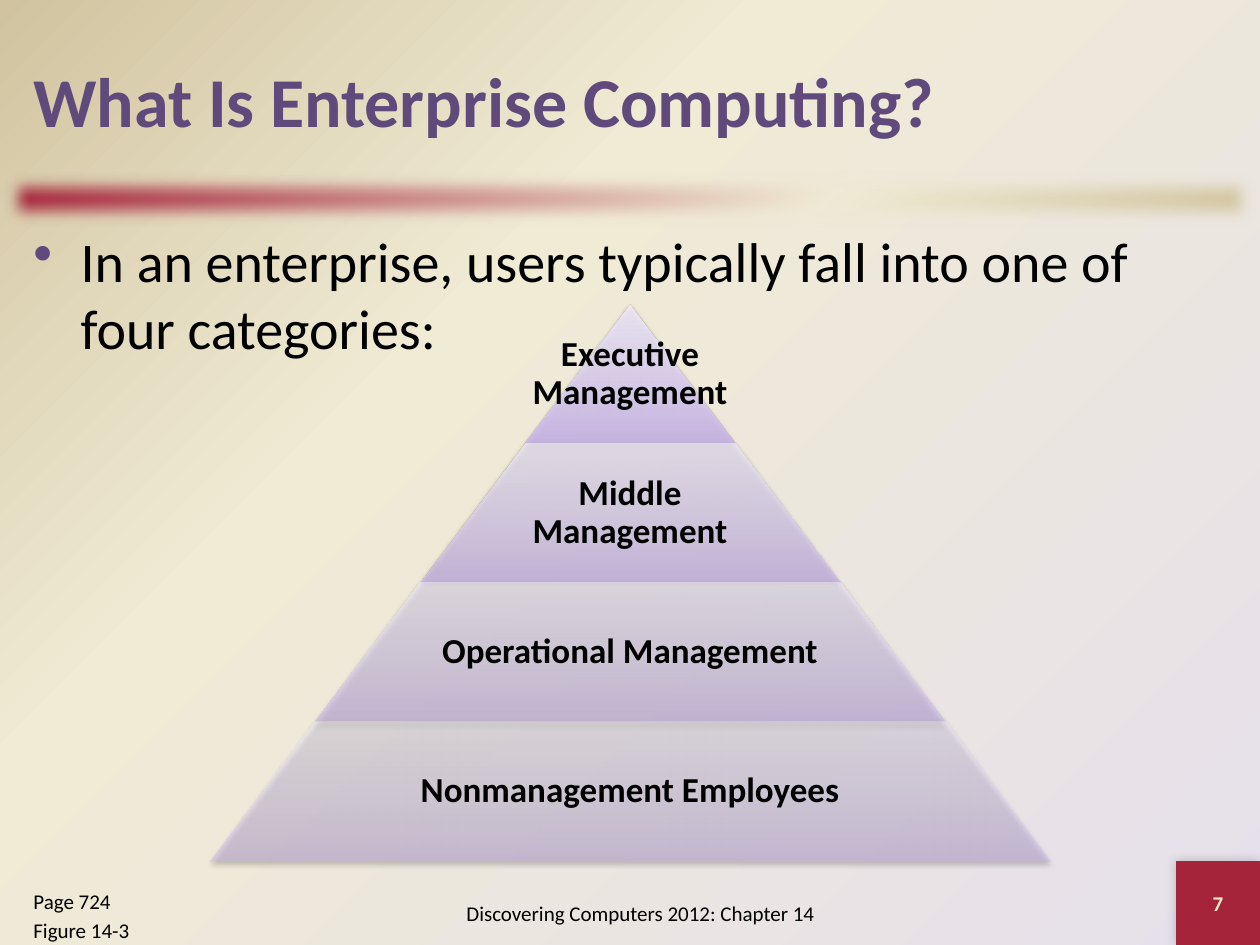
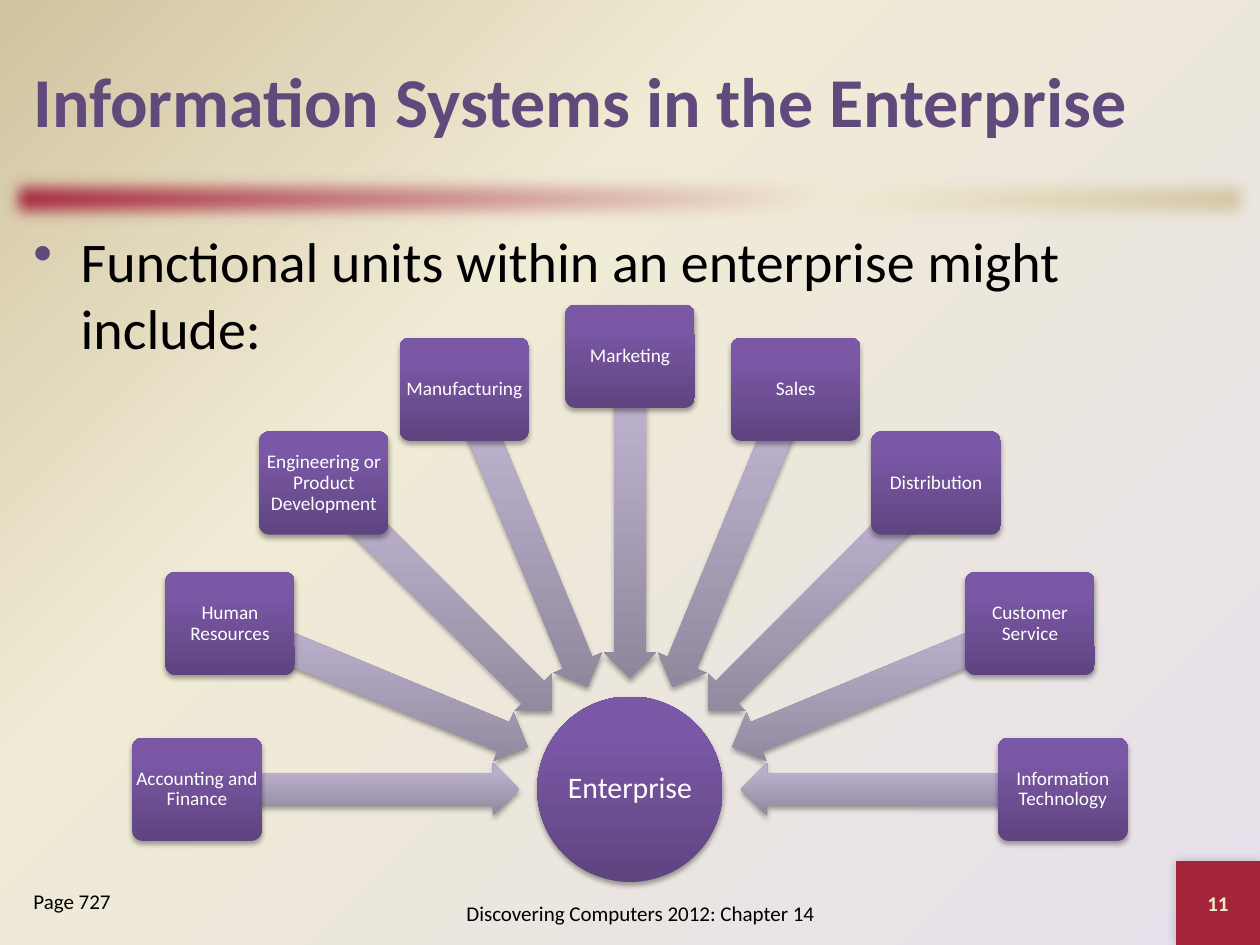
import math
from dataclasses import dataclass
from typing import Optional

import lxml.etree
import pptx
import pptx.dml.color
import pptx.enum.shapes
import pptx.enum.text
import pptx.oxml
import pptx.oxml.ns
import pptx.util

Pt = pptx.util.Pt
SHAPE = pptx.enum.shapes.MSO_SHAPE
ALIGN = pptx.enum.text.PP_ALIGN
ANCHOR = pptx.enum.text.MSO_ANCHOR
qn = pptx.oxml.ns.qn

FONT = "Calibri"
PURPLE, RED, CREAM = "604A7B", "A52439", "EEEBCA"
BLACK, WHITE = "000000", "FFFFFF"
FOOTER = "Discovering Computers 2012: Chapter 14"


@dataclass(frozen=True)
class Box:
    x: float
    y: float
    w: float
    h: float


@dataclass(frozen=True)
class Shadow:
    alpha: int
    blur: float
    dist: float
    angle: float


@dataclass(frozen=True)
class Gradient:
    stops: tuple
    angle: Optional[float] = 270  # None radiates from the bottom right corner
    alpha: int = 100


@dataclass(frozen=True)
class TextStyle:
    size: float
    color: str = BLACK
    bold: bool = False
    align: ALIGN = ALIGN.LEFT
    anchor: ANCHOR = ANCHOR.TOP
    inset: Optional[float] = None
    line_spacing: Optional[float] = None
    bullet: Optional[str] = None


# Shared look
PAGE_FILL = Gradient(((0, "E6E0EC"), (65, "F0EBD5"), (100, "D1C39F")), None)
BAND_FILL = Gradient(((0, RED), (65, "F0EBD5"), (100, "D1C39F")), 45)
NODE_FILL = Gradient(((0, "5F4480"), (80, "7B58A6"), (100, "7C57A8")))
ARROW_FILL = Gradient(((0, "8F869C"), (80, "BAAFCB"), (100, "BAAFCC")))
LEVEL_STOPS = ((0, "C9B5E8"), (35, "D8CBEE"), (100, "F0EAF9"))

CORNER_SHADOW = Shadow(20, 6, 0, 225)
LEVEL_SHADOW = Shadow(38, 3.1, 1.6, 90)
NODE_SHADOW = Shadow(35, 3.1, 1.8, 90)

TITLE = TextStyle(40, PURPLE, True, anchor=ANCHOR.MIDDLE)
BODY = TextStyle(32, bullet="•")
PAGE_REF = TextStyle(12)
FOOT = TextStyle(12, align=ALIGN.CENTER, anchor=ANCHOR.MIDDLE)
NUMBER = TextStyle(12, CREAM, True, ALIGN.CENTER, ANCHOR.MIDDLE)
LEVEL_TEXT = TextStyle(20, BLACK, True, ALIGN.CENTER, ANCHOR.MIDDLE, 2, 0.9)
HUB_TEXT = TextStyle(17, WHITE, False, ALIGN.CENTER, ANCHOR.MIDDLE, 0.8, 0.9)
NODE_TEXT = TextStyle(11, WHITE, False, ALIGN.CENTER, ANCHOR.MIDDLE, 1.3, 0.9)


def rgb(value: str):
    return pptx.dml.color.RGBColor.from_string(value)


def sub(parent, tag: str, **attrs):
    """Append a DrawingML element and return it."""
    el = lxml.etree.SubElement(parent, qn(tag))
    for key, value in attrs.items():
        el.set(key, str(value))
    return el


def set_color(parent, value: str, alpha: int = 100) -> None:
    clr = sub(parent, "a:srgbClr", val=rgb(value))
    if alpha < 100:
        sub(clr, "a:alpha", val=alpha * 1000)


def set_gradient(fill, holder, gradient: Gradient) -> None:
    """Swap a solid fill of the holder element for a gradient."""
    fill.solid()
    solid = holder.find(qn("a:solidFill"))
    grad = pptx.oxml.parse_xml(
        '<a:gradFill xmlns:a="http://schemas.openxmlformats.org/drawingml/2006/main" '
        'rotWithShape="0"/>')
    stops = sub(grad, "a:gsLst")
    for pos, value in gradient.stops:
        set_color(sub(stops, "a:gs", pos=pos * 1000), value, gradient.alpha)
    if gradient.angle is None:
        way = sub(grad, "a:path", path="circle")
        sub(way, "a:fillToRect", l=100000, t=100000)
    else:
        sub(grad, "a:lin", ang=int(gradient.angle * 60000), scaled=0)
    holder.replace(solid, grad)


def add_shape(slide, kind, box: Box, fill, shadow: Optional[Shadow] = None,
              adj: tuple = (), rotation: float = 0):
    sp = slide.shapes.add_shape(kind, Pt(box.x), Pt(box.y), Pt(box.w), Pt(box.h))
    for i, value in enumerate(adj):
        sp.adjustments[i] = value
    sp.rotation = rotation
    sp.line.fill.background()
    sp.shadow.inherit = False
    props = sp._element.spPr
    if isinstance(fill, Gradient):
        set_gradient(sp.fill, props, fill)
    else:
        sp.fill.solid()
        sp.fill.fore_color.rgb = rgb(fill)
    if shadow:
        outer = sub(props.find(qn("a:effectLst")), "a:outerShdw",
                    blurRad=Pt(shadow.blur), dist=Pt(shadow.dist),
                    dir=int(shadow.angle * 60000), rotWithShape=0)
        set_color(outer, BLACK, shadow.alpha)
    return sp


def write(sp, lines: tuple, style: TextStyle) -> None:
    tf = sp.text_frame
    tf.word_wrap = True
    tf.vertical_anchor = style.anchor
    if style.inset is not None:
        tf.margin_left = tf.margin_right = Pt(style.inset)
        tf.margin_top = tf.margin_bottom = Pt(style.inset)
    for i, line in enumerate(lines):
        p = tf.add_paragraph() if i else tf.paragraphs[0]
        p.alignment = style.align
        if style.bullet:
            pPr = p._p.get_or_add_pPr()
            pPr.set("marL", str(Pt(27)))
            pPr.set("indent", str(-Pt(27)))
            set_color(sub(pPr, "a:buClr"), PURPLE)
            sub(pPr, "a:buChar", char=style.bullet)
        if style.line_spacing:
            p.line_spacing = style.line_spacing
        if i:
            p.space_before = Pt(style.size * 0.2)
        r = p.add_run()
        r.text = line
        r.font.name = FONT
        r.font.size = Pt(style.size)
        r.font.bold = style.bold
        r.font.color.rgb = rgb(style.color)


def add_text(slide, box: Box, lines: tuple, style: TextStyle) -> None:
    sp = slide.shapes.add_textbox(Pt(box.x), Pt(box.y), Pt(box.w), Pt(box.h))
    write(sp, lines, style)


def add_slide(prs, title: str, body: str, number: int, page_ref: tuple):
    """A slide with the band, title, body, footer and number."""
    slide = prs.slides.add_slide(prs.slide_layouts[6])
    band = add_shape(slide, SHAPE.RECTANGLE, Box(0, 96, 720, 36), BAND_FILL)
    sub(band._element.spPr.find(qn("a:effectLst")), "a:softEdge", rad=Pt(10))
    corner = add_shape(slide, SHAPE.RECTANGLE, Box(672, 492, 48, 48), RED, CORNER_SHADOW)
    write(corner, (str(number),), NUMBER)
    add_text(slide, Box(12, 12, 696, 90), (title,), TITLE)
    add_text(slide, Box(12, 126, 696, 366), (body,), BODY)
    add_text(slide, Box(216, 504, 300, 36), (FOOTER,), FOOT)
    add_text(slide, Box(12, 504, 132, 36), page_ref, PAGE_REF)
    return slide


def draw_pyramid(slide, levels: tuple) -> None:
    """Trapezoids that widen by one equal step per level."""
    cx, top, step, height = 360, 174, 120, 79.5
    for i, label in enumerate(levels):
        width = step * (i + 1)
        y = top + i * height
        fill = Gradient(LEVEL_STOPS, alpha=round(90 - 40 * i / (len(levels) - 1)))
        add_shape(slide, SHAPE.TRAPEZOID, Box(cx - width / 2, y, width, height),
                  fill, LEVEL_SHADOW, (step / 2 / height,))
        text_w = max(step, 0.65 * width)
        add_text(slide, Box(cx - text_w / 2, y, text_w, height), (label,), LEVEL_TEXT)


def draw_radial(slide, hub: str, units: tuple) -> None:
    """Units on a half circle, each with an arrow to the hub."""
    cx, cy = 360, 451

    def around(angle: float, radius: float, w: float, h: float) -> Box:
        x = cx + radius * math.cos(math.radians(angle))
        y = cy + radius * math.sin(math.radians(angle))
        return Box(x - w / 2, y - h / 2, w, h)

    hub_box = around(0, 0, 106, 106)
    add_shape(slide, SHAPE.OVAL, hub_box, NODE_FILL, NODE_SHADOW)
    add_text(slide, hub_box, (hub,), HUB_TEXT)
    for i, unit in enumerate(units):
        angle = 180 + 180 * i / (len(units) - 1)
        add_shape(slide, SHAPE.LEFT_ARROW, around(angle, 155, 183.6, 30.2),
                  ARROW_FILL, NODE_SHADOW, (0.6, 0.5), angle % 360)
        node_box = around(angle, 247.4, 74, 59)
        add_shape(slide, SHAPE.ROUNDED_RECTANGLE, node_box, NODE_FILL, NODE_SHADOW, (0.1,))
        add_text(slide, node_box, (unit,), NODE_TEXT)


def main() -> None:
    prs = pptx.Presentation()
    prs.slide_width, prs.slide_height = Pt(720), Pt(540)

    # Page background for every slide
    fill = prs.slide_master.background.fill
    fill.solid()
    bg_props = prs.slide_master._element.cSld.find(qn("p:bg")).find(qn("p:bgPr"))
    set_gradient(fill, bg_props, PAGE_FILL)

    # Management levels
    slide = add_slide(prs, "What Is Enterprise Computing?",
                      "In an enterprise, users typically fall into one of four categories:",
                      7, ("Page 724", "Figure 14-3"))
    draw_pyramid(slide, ("Executive Management", "Middle Management",
                         "Operational Management", "Nonmanagement Employees"))

    # Functional units
    slide = add_slide(prs, "Information Systems in the Enterprise",
                      "Functional units within an enterprise might include:",
                      11, ("Page 727",))
    draw_radial(slide, "Enterprise", (
        "Accounting and Finance", "Human Resources",
        "Engineering or Product Development", "Manufacturing", "Marketing",
        "Sales", "Distribution", "Customer Service", "Information Technology"))

    prs.save("out.pptx")


if __name__ == "__main__":
    main()
